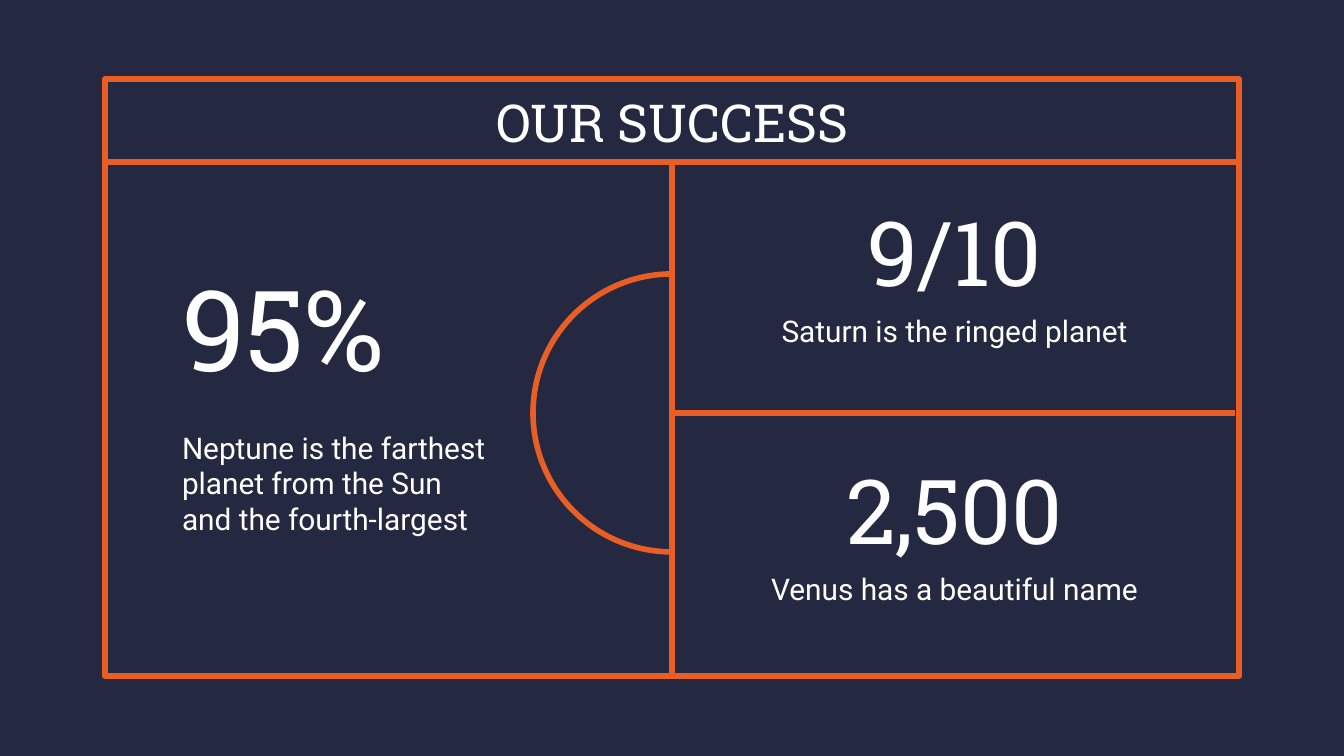
import pptx
import pptx.dml.color
import pptx.enum.shapes
import pptx.enum.text
import pptx.util
from lxml import etree

EMU_PER_PX = 914400 / 134.4
NAVY, ORANGE, WHITE = "242841", "E95E24", "FFFFFF"
HEADING, BODY = "Roboto Slab", "Roboto"
SHAPE = pptx.enum.shapes.MSO_SHAPE
ALIGN = pptx.enum.text.PP_ALIGN


def px(length):
    """Convert whole pixels to EMU."""
    return pptx.util.Emu(round(length * EMU_PER_PX))


def color(value):
    """Convert a hex string to an RGB colour."""
    return pptx.dml.color.RGBColor.from_string(value)


def style_line(line):
    """Apply the orange court marking to a line."""
    line.color.rgb = color(ORANGE)
    line.width = pptx.util.Pt(3)


def add_outline(slide, kind, *box):
    """Add an unfilled shape with a court marking outline."""
    outline = slide.shapes.add_shape(kind, *map(px, box))
    outline.shadow.inherit = False
    outline.fill.background()
    style_line(outline.line)
    return outline


def add_marking(slide, *ends):
    """Add a straight court marking."""
    straight = pptx.enum.shapes.MSO_CONNECTOR.STRAIGHT
    marking = slide.shapes.add_connector(straight, *map(px, ends))
    style_line(marking.line)
    etree.SubElement(marking.line._get_or_add_ln().getparent(), pptx.oxml.ns.qn("a:effectLst"))


def add_text(slide, text, box, *, size=16, font=BODY, align=ALIGN.CENTER):
    """Add middle-anchored white text, one paragraph per line."""
    frame = slide.shapes.add_textbox(*map(px, box)).text_frame
    frame.word_wrap = True
    frame.vertical_anchor = pptx.enum.text.MSO_ANCHOR.MIDDLE
    frame.margin_left = frame.margin_right = px(13)
    frame.margin_top = frame.margin_bottom = px(13)
    frame.text = text
    for paragraph in frame.paragraphs:
        paragraph.alignment = align
        paragraph.font.size = pptx.util.Pt(size)
        paragraph.font.name = font
        paragraph.font.color.rgb = color(WHITE)


def add_court(slide):
    """Draw the court that divides the slide into panels."""
    add_outline(slide, SHAPE.RECTANGLE, 105, 79, 1134, 597)
    add_marking(slide, 108, 162, 1236, 162)
    add_marking(slide, 672, 676, 672, 164)
    add_marking(slide, 1235, 413, 673, 413)
    half_circle = add_outline(slide, SHAPE.PIE, 533, 274, 278, 278)
    half_circle.adjustments[0] = 0
    half_circle.adjustments[1] = 108
    half_circle.rotation = 90


def add_result(slide, figure, caption, top):
    """Add a centred figure with its caption in the right half."""
    add_text(slide, figure, (736, top, 437, 95), size=48, font=HEADING)
    add_text(slide, caption, (736, top + 94, 437, 67))


def main():
    """Build and save the slide."""
    deck = pptx.Presentation()
    deck.slide_width, deck.slide_height = px(1344), px(756)
    slide = deck.slides.add_slide(deck.slide_layouts[6])
    slide.background.fill.solid()
    slide.background.fill.fore_color.rgb = color(NAVY)

    add_court(slide)
    add_text(slide, "OUR SUCCESS", (105, 79, 1134, 85), size=28, font=HEADING)
    add_text(slide, "95%", (169, 251, 339, 152), size=60, font=HEADING, align=ALIGN.LEFT)
    add_text(
        slide,
        "Neptune is the farthest\nplanet from the Sun and the fourth-largest",
        (169, 405, 339, 156),
        align=ALIGN.LEFT,
    )
    add_result(slide, "9/10", "Saturn is the ringed planet", 203)
    add_result(slide, "2,500", "Venus has a beautiful name", 461)
    deck.save("out.pptx")


if __name__ == "__main__":
    main()
